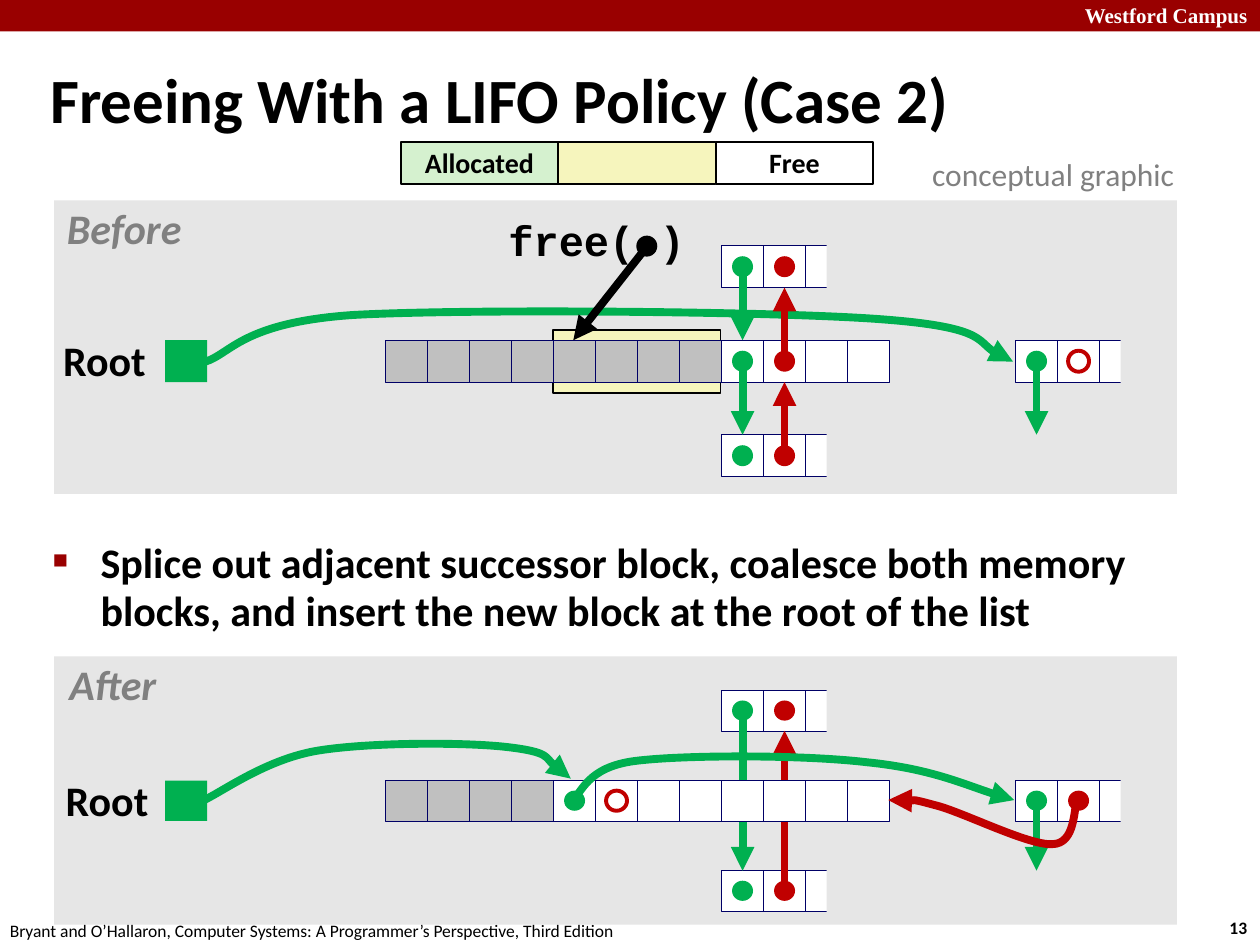
from lxml import etree
from pptx import Presentation
from pptx.dml.color import RGBColor
from pptx.enum.shapes import MSO_CONNECTOR, MSO_SHAPE
from pptx.enum.text import MSO_ANCHOR, PP_ALIGN
from pptx.oxml.ns import qn
from pptx.util import Inches, Pt

RECTANGLE, OVAL = MSO_SHAPE.RECTANGLE, MSO_SHAPE.OVAL
STRAIGHT = MSO_CONNECTOR.STRAIGHT
LEFT, CENTER, RIGHT = PP_ALIGN.LEFT, PP_ALIGN.CENTER, PP_ALIGN.RIGHT
TOP, MIDDLE = MSO_ANCHOR.TOP, MSO_ANCHOR.MIDDLE

BLACK = RGBColor(0x00, 0x00, 0x00)
WHITE = RGBColor(0xFF, 0xFF, 0xFF)
GRAY = RGBColor(0x80, 0x80, 0x80)
PANEL = RGBColor(0xE6, 0xE6, 0xE6)
USED = RGBColor(0xC0, 0xC0, 0xC0)
NAVY = RGBColor(0x00, 0x00, 0x66)
CRIMSON = RGBColor(0x99, 0x00, 0x00)
GREEN = RGBColor(0x00, 0xB0, 0x50)
RED = RGBColor(0xC0, 0x00, 0x00)
YELLOW = RGBColor(0xF6, 0xF5, 0xBD)
MINT = RGBColor(0xD5, 0xF1, 0xCF)

CELL = 1 / 3
GRID_LEFT = 3.06
ROOT_COLUMN = -5.25
MAIN_ROW = 1
CELL_COUNT = 12
STUBS = [(8, 0), (8, 2), (15, 1)]
STUB_CELLS = 3
LEGEND = [("", YELLOW, 1), ("Allocated", MINT, 0), ("Free", WHITE, 2)]
LEGEND_LEFT, LEGEND_TOP, LEGEND_WIDTH, LEGEND_HEIGHT = 3.18, 1.13, 1.25, 0.33

BEFORE = {
    "panel": (0.43, 1.59, 8.91, 2.33), "top": 1.95, "pitch": 0.75, "height": CELL,
    "used": 8, "highlight": (4.39, 2.62, 1.33, 0.5),
    "back_curves": [(GREEN, [(1.63, 2.87), (1.83, 2.81), (1.92, 2.56), (2.8, 2.5),
                             (3.69, 2.45), (6.06, 2.47), (6.94, 2.53),
                             (7.81, 2.59), (7.81, 2.8), (8.04, 2.87)])],
    "back_links": [],
    "front_links": [(8, 1, 2), (8, 0, 1), (9, 2, 1), (9, 1, 0), (15, 1, 2)],
    "dots": [(8, 0, GREEN), (8, 1, GREEN), (8, 2, GREEN), (15, 1, GREEN),
             (9, 0, RED), (9, 1, RED), (9, 2, RED)],
    "ring": (16, 1), "front_curves": [],
    "labels": [("Before", (0.47, 1.6, 1.03, 0.47), GRAY, True),
               ("Root", (0.45, 2.65, 0.76, 0.47), BLACK, False)],
}
AFTER = {
    "panel": (0.43, 5.21, 8.91, 2.13), "top": 5.48, "pitch": 0.715, "height": 0.32,
    "used": 4, "highlight": None, "back_curves": [],
    "back_links": [(8, 0, 2), (9, 2, 0)], "front_links": [(15, 1, 2)],
    "dots": [(4, 1, GREEN), (8, 0, GREEN), (8, 2, GREEN), (15, 1, GREEN),
             (9, 0, RED), (9, 2, RED), (16, 1, RED)],
    "ring": (5, 1),
    "front_curves": [
        (GREEN, [(4.54, 6.35), (4.62, 6.3), (4.65, 6.09), (5.04, 6.04),
                 (5.43, 5.99), (6.38, 5.99), (6.88, 6.05),
                 (7.38, 6.1), (7.81, 6.29), (8.05, 6.35)]),
        (RED, [(8.55, 6.35), (8.52, 6.41), (8.54, 6.7), (8.35, 6.7),
               (8.16, 6.71), (7.63, 6.44), (7.42, 6.39),
               (7.2, 6.33), (7.13, 6.36), (7.05, 6.35)]),
        (GREEN, [(1.62, 6.35), (1.77, 6.28), (2.11, 6.03), (2.51, 5.96),
                 (2.92, 5.89), (3.7, 5.89), (4.03, 5.93),
                 (4.37, 5.97), (4.43, 6.13), (4.53, 6.18)])],
    "labels": [("Root", (0.47, 6.14, 0.76, 0.44), BLACK, False),
               ("After", (0.49, 5.22, 0.81, 0.44), GRAY, True)],
}

presentation = Presentation()
presentation.slide_width, presentation.slide_height = Inches(10), Inches(7.5)
slide = presentation.slides.add_slide(presentation.slide_layouts[6])


def add_shape(kind, box, fill=None, line=None, width=0.25):
    shape = slide.shapes.add_shape(kind, *map(Inches, box))
    shape.shadow.inherit = False
    if fill is None:
        shape.fill.background()
    else:
        shape.fill.solid()
        shape.fill.fore_color.rgb = fill
    if line is None:
        shape.line.fill.background()
    else:
        shape.line.color.rgb = line
        shape.line.width = Pt(width)
    return shape


def write(shape, text, size, color=BLACK, bold=False, italic=False, font="Calibri",
          align=LEFT, anchor=TOP, wrap=False, spacing=1.0, inset=0.1):
    frame = shape.text_frame
    frame.word_wrap = wrap
    frame.vertical_anchor = anchor
    frame.margin_left = frame.margin_right = Inches(inset)
    frame.margin_top = frame.margin_bottom = Inches(0.05)
    paragraph = frame.paragraphs[0]
    paragraph.text = text
    paragraph.alignment = align
    paragraph.line_spacing = spacing
    paragraph.font.name, paragraph.font.size = font, Pt(size)
    paragraph.font.bold, paragraph.font.italic = bold, italic
    paragraph.font.color.rgb = color
    return paragraph


def add_text(box, text, size, **style):
    return write(slide.shapes.add_textbox(*map(Inches, box)), text, size, **style)


def style_arrow(shape, color):
    shape.line.color.rgb = color
    shape.line.width = Pt(4.5)
    etree.SubElement(shape.line._get_or_add_ln(), qn("a:tailEnd"), type="triangle")


def add_arrow(start, end, color):
    arrow = slide.shapes.add_connector(STRAIGHT, *map(Inches, (*start, *end)))
    style_arrow(arrow, color)
    etree.SubElement(arrow._element.spPr, qn("a:effectLst"))


def add_curve(color, points):
    points = [(Inches(x), Inches(y)) for x, y in points]
    builder = slide.shapes.build_freeform(*points[0])
    builder.add_line_segments(points[1:], close=False)
    curve = builder.convert_to_shape()
    curve.shadow.inherit = False
    curve.fill.background()
    style_arrow(curve, color)
    segments = list(curve._element.iter(qn("a:lnTo")))
    for index in range(0, len(segments), 3):
        bezier = etree.Element(qn("a:cubicBezTo"))
        segments[index].addprevious(bezier)
        for segment in segments[index:index + 3]:
            bezier.append(segment[0])
            segment.getparent().remove(segment)


def add_stage(stage):
    height = stage["height"]

    def corner(column, row):
        return GRID_LEFT + column * CELL, stage["top"] + row * stage["pitch"]

    def add_cell(column, row, fill, line=NAVY):
        add_shape(RECTANGLE, (*corner(column, row), CELL, height), fill, line)

    def add_dot(column, row, **style):
        x, y = corner(column + 0.25, row)
        add_shape(OVAL, (x, y + height / 4, CELL / 2, height / 2), **style)

    def add_link(column, source, target):
        x, start = corner(column + 0.5, source)
        end = corner(column, target)[1]
        down = target > source
        add_arrow((x, start + height / 2), (x, end if down else end + height),
                  GREEN if down else RED)

    add_shape(RECTANGLE, stage["panel"], PANEL)
    if stage["highlight"]:
        add_shape(RECTANGLE, stage["highlight"], YELLOW, BLACK, 0.75)
    for curve in stage["back_curves"]:
        add_curve(*curve)
    for column, row in STUBS:
        for offset in range(STUB_CELLS):
            add_cell(column + offset, row, WHITE)
        x, y = corner(column + STUB_CELLS - 0.5, row)
        add_shape(RECTANGLE, (x, y - height / 4, CELL, height * 1.5), PANEL)
    for link in stage["back_links"]:
        add_link(*link)
    for column in range(CELL_COUNT):
        add_cell(column, MAIN_ROW, USED if column < stage["used"] else WHITE)
    add_cell(ROOT_COLUMN, MAIN_ROW, GREEN, None)
    for link in stage["front_links"]:
        add_link(*link)
    for column, row, color in stage["dots"]:
        add_dot(column, row, fill=color)
    add_dot(*stage["ring"], line=RED, width=2.25)
    for curve in stage["front_curves"]:
        add_curve(*curve)
    for text, box, color, italic in stage["labels"]:
        add_text(box, text, 24, color=color, bold=True, italic=italic,
                 align=CENTER, spacing=0.9, inset=0.05)


add_shape(RECTANGLE, (0, 0, 10, 0.25), CRIMSON)
add_text((7.5, -0.03, 2.5, 0.3), "Westford Campus", 12, color=WHITE, bold=True,
         font="Times New Roman", align=RIGHT, wrap=True)
add_text((9.66, 7.23, 0.37, 0.27), "13", 10, bold=True)
add_text((0.3, 0.39, 9.53, 0.86), "Freeing With a LIFO Policy (Case 2)", 36,
         bold=True, anchor=MIDDLE, wrap=True, spacing=0.87)

bullet = add_text((0.32, 4.24, 9.09, 0.86),
                  "Splice out adjacent successor block, coalesce both memory blocks, "
                  "and insert the new block at the root of the list",
                  24, bold=True, wrap=True, spacing=0.95)
bullet.space_before = Pt(5)
properties = bullet._p.get_or_add_pPr()
properties.set("marL", str(Inches(0.38)))
properties.set("indent", str(-Inches(0.38)))
bullet_color = etree.Element(qn("a:buClr"))
etree.SubElement(bullet_color, qn("a:srgbClr"), val=str(CRIMSON))
bullet_size = etree.Element(qn("a:buSzPct"), val="50000")
bullet_mark = etree.Element(qn("a:buChar"), char="■")
for element in (bullet_color, bullet_size, bullet_mark):
    properties.find(qn("a:defRPr")).addprevious(element)

for stage in (BEFORE, AFTER):
    add_stage(stage)

add_text((3.98, 1.7, 1.51, 0.47), "free( )", 24, bold=True, font="Courier New",
         align=CENTER, spacing=0.9, inset=0.05)
add_shape(OVAL, (5.05, 1.87, CELL / 2, CELL / 2), BLACK)
add_arrow((5.14, 1.95), (4.55, 2.7), BLACK)

add_text((7.3, 1.18, 2.17, 0.4), "conceptual graphic", 18, color=GRAY)
for label, fill, position in LEGEND:
    box = (LEGEND_LEFT + position * LEGEND_WIDTH, LEGEND_TOP, LEGEND_WIDTH, LEGEND_HEIGHT)
    shape = add_shape(RECTANGLE, box, fill, BLACK, 1)
    if label:
        write(shape, label, 16, bold=True, align=CENTER, anchor=MIDDLE, spacing=0.98)
add_text((-0.02, 7.25, 5.08, 0.27),
         "Bryant and O’Hallaron, Computer Systems: A Programmer’s Perspective, Third Edition", 10)

presentation.save("out.pptx")
